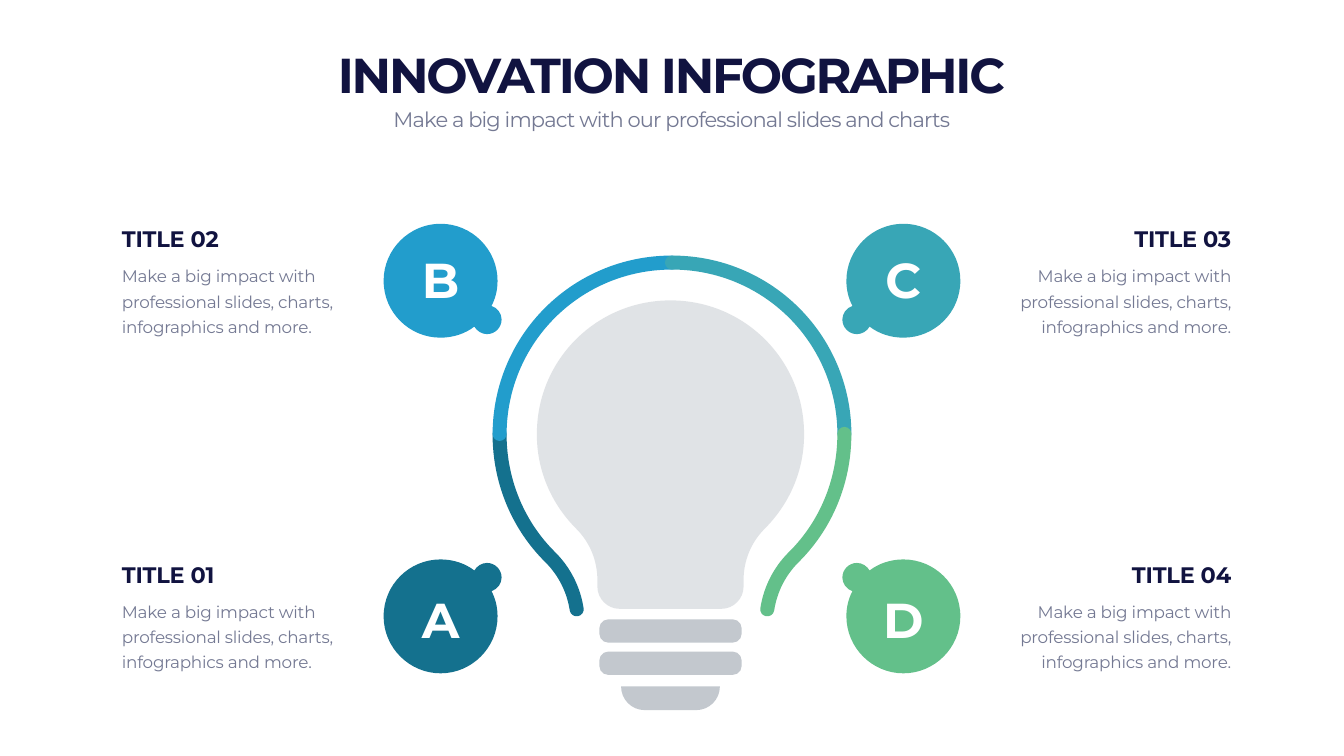
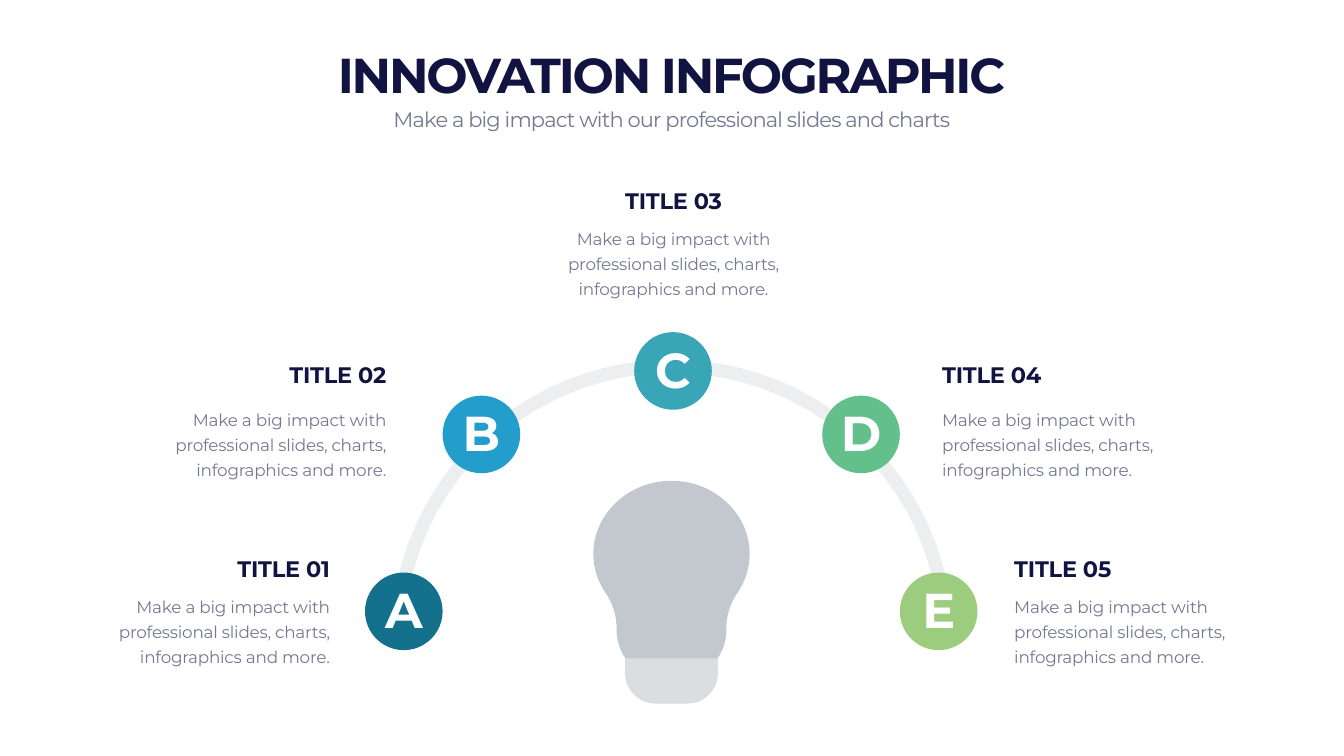
from dataclasses import dataclass
from lxml.etree import SubElement
from pptx import Presentation
from pptx.dml.color import RGBColor
from pptx.enum.shapes import MSO_SHAPE
from pptx.enum.text import MSO_ANCHOR, MSO_AUTO_SIZE, PP_ALIGN
from pptx.oxml.ns import qn
from pptx.util import Inches, Pt


@dataclass(frozen=True)
class Theme:
    """Colours, font and type sizes of the deck."""
    font: str = "Montserrat"
    navy: str = "111340"
    grey: str = "747993"
    white: str = "FFFFFF"
    silver: str = "C3C8CE"
    hues: tuple = ("14718E", "229DCC", "38A6B6", "63C08A", "9CCC7D")
    big: int = 70
    sub: int = 30
    head: int = 32
    body: int = 24
    lead: int = 36
    tight: float = -0.3


T = Theme()
WIDE, HIGH = 26.66, 15
MID = WIDE / 2
LEFT, RIGHT, MIDDLE = PP_ALIGN.LEFT, PP_ALIGN.RIGHT, PP_ALIGN.CENTER

TITLE = "INNOVATION INFOGRAPHIC"
SUB = "Make a big impact with our professional slides and charts"
BODY = "Make a big impact with professional slides, charts, infographics and more."
TEXT_W, HEAD_H, BODY_H = 4.72, 0.64, 1.57
MARK_W, MARK_H = 1.71, 1.28

SIDES = {-1: (2.32, LEFT), 1: (19.8, RIGHT)}
ROWS = {-1: 4.41, 1: 11.07}
CORNERS = [("A", -1, 1), ("B", -1, -1), ("C", 1, -1), ("D", 1, 1)]
HUB_Y, REACH_X, REACH_Y = 8.9, 4.59, 3.33

STOPS = [
    ("A", 8.01, 12.13, 1.92, 10.96, 0.73, RIGHT),
    ("B", 9.55, 8.62, 3.04, 7.11, 0.87, RIGHT),
    ("C", 13.35, 7.36, 11, 3.65, 0.73, MIDDLE),
    ("D", 17.08, 8.62, 18.59, 7.11, 0.87, LEFT),
    ("E", 18.62, 12.13, 20.02, 10.96, 0.73, LEFT),
]
DISC = 1.54

NECK = [(9.91, 8.61), (9.91, 9.57, 10.29, 10.44, 10.92, 11.06),
        (11.2, 11.34, 11.38, 11.7, 11.44, 12.09)]
CROWN = [(13.33, 5.21), (11.44, 5.21, 9.92, 6.72, 9.91, 8.61)]
BUBBLE = [(9.95, 11.46), (9.95, 11.3, 9.82, 11.17, 9.66, 11.17),
          (9.56, 11.17, 9.46, 11.23, 9.41, 11.32),
          (9.23, 11.18, 8.99, 11.1, 8.74, 11.1),
          (8.12, 11.1, 7.61, 11.6, 7.61, 12.23),
          (7.61, 12.85, 8.12, 13.36, 8.74, 13.36),
          (9.36, 13.36, 9.87, 12.85, 9.87, 12.23),
          (9.87, 12.05, 9.83, 11.88, 9.75, 11.73),
          (9.87, 11.69, 9.95, 11.58, 9.95, 11.46)]

GLASS = [(13.3, 5.96), (11.84, 5.96, 10.66, 7.13, 10.65, 8.59),
         (10.64, 9.33, 10.94, 10, 11.43, 10.49),
         (11.7, 10.76, 11.85, 11.12, 11.85, 11.51), (11.85, 11.64),
         (11.85, 11.88, 12.05, 12.08, 12.29, 12.08), (13.3, 12.08)]
CAP = [(13.3, 13.62), (12.32, 13.62),
       (12.32, 13.88, 12.53, 14.09, 12.79, 14.09), (13.3, 14.09)]
BARS = (12.29, 12.93)

ARCH = [(7.89, 12.7), (7.89, 9.7, 10.33, 7.27, MID, 7.27)]
LAMP = [(13.32, 9.54), (12.47, 9.54, 11.77, 10.19, 11.77, 10.99),
        (11.77, 11.28, 11.86, 11.54, 12.01, 11.76),
        (12.16, 11.98, 12.24, 12.23, 12.23, 12.5),
        (12.23, 12.71, 12.3, 12.91, 12.41, 13.07), (13.32, 13.07)]
FOOT = [(13.32, 13.07), (12.4, 13.07), (12.4, 13.36),
        (12.4, 13.69, 12.67, 13.96, 13, 13.96), (13.32, 13.96)]


def flip(route, sx=1, sy=1, ax=MID, ay=HUB_Y):
    """Mirror a route about the axes whose sign is negative."""
    turns = ((ax, sx), (ay, sy))
    return [tuple(turns[i % 2][0] + turns[i % 2][1] * (n - turns[i % 2][0])
                  for i, n in enumerate(part)) for part in route]


def back(route):
    """Reverse a route of lines and cubic curves."""
    ends = [part[-2:] for part in route]
    turned = [part[2:4] + part[:2] + end if len(part) == 6 else end
              for part, end in zip(route[1:], ends)]
    return [ends[-1]] + turned[::-1]


def whole(half, ax):
    """Complete a left half with its mirrored right half."""
    return half + back(flip(half, sx=-1, ax=ax))[1:]


def paint(shape, fill=None, line=None, width=20, alpha=100):
    """Set the fill or line of a shape."""
    shape.shadow.inherit = False
    for part, hue in ((shape.fill, fill), (shape.line.fill, line)):
        if hue:
            part.solid()
            part.fore_color.rgb = RGBColor.from_string(hue)
        else:
            part.background()
    if line:
        shape.line.width = Pt(width)
        shape.element.spPr.find(qn("a:ln")).set("cap", "rnd")
    if alpha < 100:
        for clr in shape.element.iter(qn("a:srgbClr")):
            SubElement(clr, qn("a:alpha")).set("val", str(alpha * 1000))


def bend(shape, route):
    """Replace the chords of an outline with its cubic curves."""
    chords = list(shape.element.iter(qn("a:lnTo")))
    for chord, part in zip(chords, route[1:]):
        if len(part) == 2:
            continue
        curve = chord.makeelement(qn("a:cubicBezTo"))
        for x, y in zip(part[::2], part[1::2]):
            dot = SubElement(curve, qn("a:pt"))
            dot.set("x", str(Inches(x) - shape.left))
            dot.set("y", str(Inches(y) - shape.top))
        chord.getparent().replace(chord, curve)


def draw(slide, route, **look):
    """Draw an outline, closed when it is filled."""
    ends = [tuple(map(Inches, part[-2:])) for part in route]
    pen = slide.shapes.build_freeform(*ends[0], scale=1.0)
    pen.add_line_segments(ends[1:], close="fill" in look)
    shape = pen.convert_to_shape()
    bend(shape, route)
    paint(shape, **look)


def preset(slide, kind, box, **look):
    """Add a painted preset shape."""
    shape = slide.shapes.add_shape(kind, *map(Inches, box))
    paint(shape, **look)
    return shape


def write(shape, text, size, hue, align=MIDDLE, bold=False, gap=T.tight, lead=None, low=True):
    """Fill a text frame and format its run."""
    frame = shape.text_frame
    frame.text = text
    frame.word_wrap = True
    frame.auto_size = MSO_AUTO_SIZE.SHAPE_TO_FIT_TEXT
    frame.vertical_anchor = MSO_ANCHOR.BOTTOM if low else MSO_ANCHOR.TOP
    para = frame.paragraphs[0]
    para.alignment = align
    if lead:
        para.line_spacing = Pt(lead)
    font = para.runs[0].font
    font.name, font.size, font.bold = T.font, Pt(size), bold
    font.color.rgb = RGBColor.from_string(hue)
    font._element.set("spc", str(round(gap * 100)))


def label(slide, box, *args, **look):
    """Add a text box."""
    write(slide.shapes.add_textbox(*map(Inches, box)), *args, **look)


def mark(slide, letter, x, y):
    """Centre a large letter on a point."""
    box = (x - MARK_W / 2, y - MARK_H / 2, MARK_W, MARK_H)
    label(slide, box, letter, T.big, T.white, bold=True)


def note(slide, num, x, y, drop, align):
    """Add a numbered heading and its text."""
    label(slide, (x, y, TEXT_W, HEAD_H), f"TITLE {num:02}", T.head, T.navy, align, bold=True)
    label(slide, (x, y + drop, TEXT_W, BODY_H), BODY, T.body, T.grey, align,
          lead=T.lead, low=False)


def start(deck):
    """Add a slide with the shared title and subtitle."""
    slide = deck.slides.add_slide(deck.slide_layouts[5])
    title = slide.shapes.title
    title.left, title.top, title.width, title.height = map(Inches, (1.66, 0.82, 23.33, 1.28))
    write(title, TITLE, T.big, T.navy, bold=True, gap=-3.1)
    label(slide, (1.66, 2.06, 23.33, 0.61), SUB, T.sub, T.grey, gap=-1.2, low=False)
    return slide


def corners(deck):
    """Build the bulb with four corner bubbles."""
    slide = start(deck)
    draw(slide, whole(CAP, 13.3), fill=T.silver)
    for top in BARS:
        bar = preset(slide, MSO_SHAPE.ROUNDED_RECTANGLE, (11.89, top, 2.82, 0.46), fill=T.silver)
        bar.adjustments[0] = 0.37
    draw(slide, whole(GLASS, 13.3), fill=T.silver, alpha=50)
    for num, ((letter, sx, sy), hue) in enumerate(zip(CORNERS, T.hues), 1):
        draw(slide, flip(NECK if sy > 0 else CROWN, sx=-sx), line=hue)
        draw(slide, flip(BUBBLE, -sx, sy), fill=hue)
        mark(slide, letter, MID + sx * REACH_X, HUB_Y + sy * (REACH_Y + 0.04))
        x, align = SIDES[sx]
        note(slide, num, x, ROWS[sy], 0.72, align)


def arch(deck):
    """Build the lamp under an arch of five stops."""
    slide = start(deck)
    draw(slide, whole(ARCH, MID), line=T.silver, width=19, alpha=30)
    draw(slide, whole(LAMP, 13.32), fill=T.silver)
    draw(slide, whole(FOOT, 13.32), fill=T.silver, alpha=60)
    for num, (stop, hue) in enumerate(zip(STOPS, T.hues), 1):
        letter, cx, cy, *place = stop
        preset(slide, MSO_SHAPE.OVAL, (cx - DISC / 2, cy - DISC / 2, DISC, DISC), fill=hue)
        mark(slide, letter, cx, cy - 0.05)
        note(slide, num, *place)


def main():
    """Build and save the deck."""
    deck = Presentation()
    deck.slide_width, deck.slide_height = Inches(WIDE), Inches(HIGH)
    corners(deck)
    arch(deck)
    deck.save("out.pptx")


if __name__ == "__main__":
    main()
